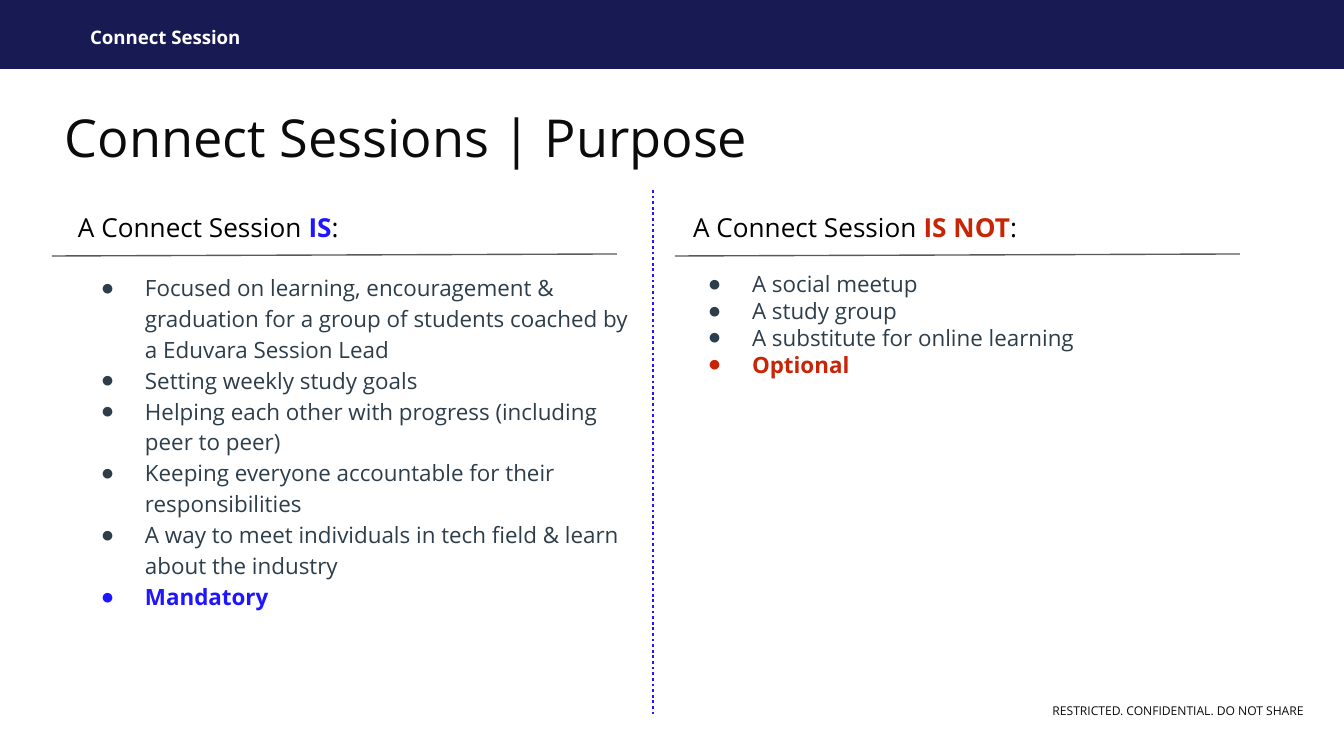
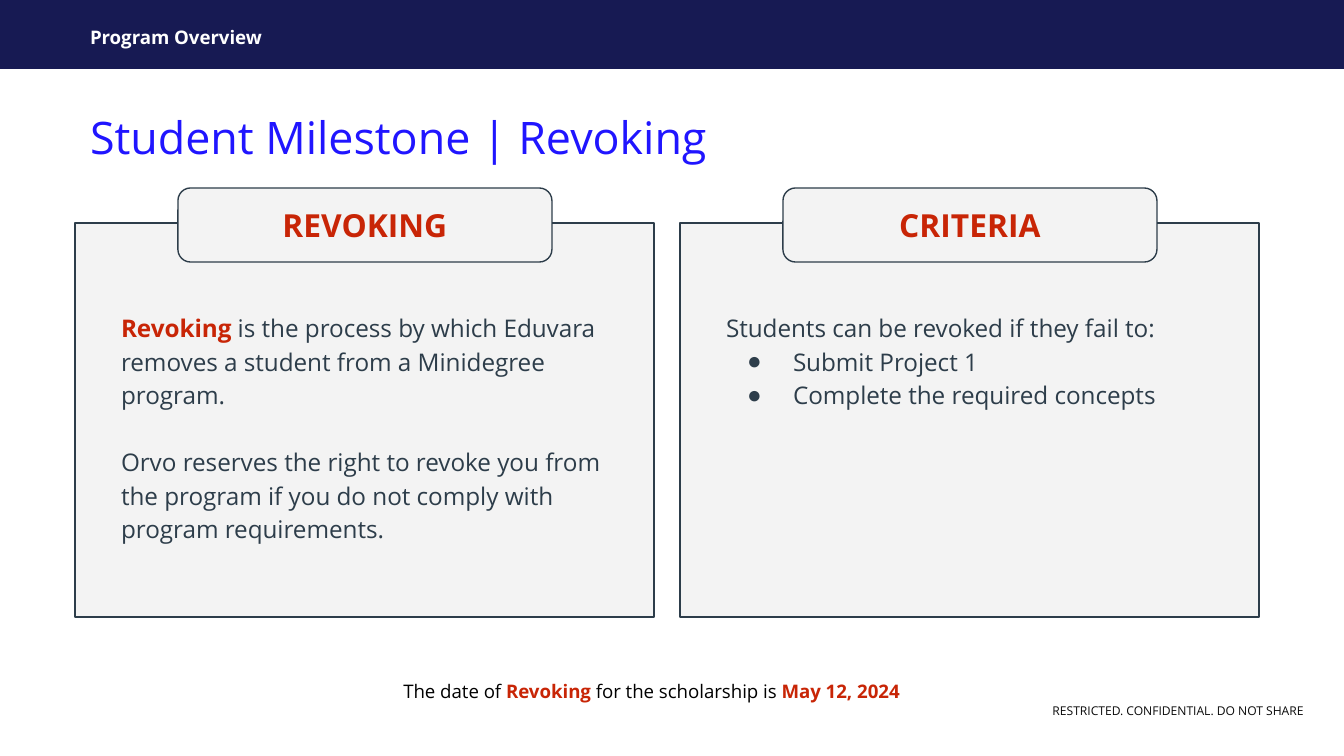
from lxml import etree
from pptx import Presentation
from pptx.dml.color import RGBColor
from pptx.enum.dml import MSO_LINE
from pptx.enum.shapes import MSO_CONNECTOR, MSO_SHAPE
from pptx.enum.text import MSO_ANCHOR, MSO_AUTO_SIZE, PP_ALIGN
from pptx.oxml.ns import qn
from pptx.util import Emu, Pt

RECT, ROUNDED = MSO_SHAPE.RECTANGLE, MSO_SHAPE.ROUNDED_RECTANGLE
STRAIGHT, DOTTED = MSO_CONNECTOR.STRAIGHT, MSO_LINE.ROUND_DOT
TOP, MIDDLE = MSO_ANCHOR.TOP, MSO_ANCHOR.MIDDLE
LEFT, CENTER, RIGHT = PP_ALIGN.LEFT, PP_ALIGN.CENTER, PP_ALIGN.RIGHT

SCALE = 914400 / 134.4
FONT = "Open Sans"
COLORS = {
    "navy": "171A53",
    "white": "FFFFFF",
    "ink": "0B0B0B",
    "black": "000000",
    "slate": "2D3D4A",
    "blue": "2015FF",
    "red": "C82506",
    "rule": "595959",
    "panel": "F3F3F3",
}
COMPARISON, TWO_CONTENT = 4, 3
INSET = 13


def px(length):
    return Emu(round(length * SCALE))


def color(name):
    return RGBColor.from_string(COLORS[name])


def place(box, left, top, width, height):
    box.left, box.top, box.width, box.height = map(px, (left, top, width, height))


def add_bullet(para, color_name, hang):
    properties = para._p.get_or_add_pPr()
    if not hang:
        properties.set("marL", "0")
        properties.set("indent", "0")
        etree.SubElement(properties, qn("a:buNone"))
        return
    properties.set("marL", str(px(67)))
    properties.set("indent", str(-px(hang)))
    tint = etree.SubElement(properties, qn("a:buClr"))
    etree.SubElement(tint, qn("a:srgbClr"), val=COLORS[color_name])
    etree.SubElement(properties, qn("a:buChar"), char="●")


def write(box, paras, size, spacing=1.0, align=LEFT, anchor=TOP,
          inset=INSET, gap=0):
    frame = box.text_frame
    frame.word_wrap = True
    frame.auto_size = MSO_AUTO_SIZE.NONE
    frame.vertical_anchor = anchor
    frame.margin_left = frame.margin_right = px(inset)
    frame.margin_top = frame.margin_bottom = px(inset)
    for index, (spans, hang) in enumerate(paras):
        para = frame.add_paragraph() if index else frame.paragraphs[0]
        add_bullet(para, spans[0][1], hang)
        para.alignment = align
        para.line_spacing = spacing
        para.space_before = Pt(gap if index else 0)
        para.space_after = Pt(0)
        for text, color_name, bold in spans:
            span = para.add_run()
            span.text = text
            span.font.name = FONT
            span.font.size = Pt(size)
            span.font.bold = bold
            span.font.color.rgb = color(color_name)


def plain(text, color_name="slate", bold=False, hang=0):
    return [(text, color_name, bold)], hang


def add_text(page, box, paras, size, **style):
    label = page.shapes.add_textbox(*map(px, box))
    write(label, paras, size, **style)
    return label


def add_block(page, kind, box, fill, line=None):
    block = page.shapes.add_shape(kind, *map(px, box))
    block.shadow.inherit = False
    block.fill.solid()
    block.fill.fore_color.rgb = color(fill)
    if line:
        block.line.color.rgb = color(line)
        block.line.width = Pt(0.75)
    else:
        block.line.fill.background()
    return block


def add_line(page, start, end, color_name, width):
    line = page.shapes.add_connector(STRAIGHT, *map(px, start + end))
    line.line.color.rgb = color(color_name)
    line.line.width = Pt(width)
    etree.SubElement(line._element.spPr, qn("a:effectLst"))
    return line


def build_master(deck, page):
    band = add_block(page, RECT, (0, 0, 1344, 69), "navy")
    footer = add_text(page, (831, 698, 473, 26),
                      [plain("RESTRICTED. CONFIDENTIAL. DO NOT SHARE", "ink")],
                      6.5, align=RIGHT, anchor=MIDDLE, inset=0)
    for part in (band, footer):
        deck.slide_master.shapes.element.append(part.element)


def build_header(page, section, title, left, size, color_name):
    heading = page.shapes.title
    place(heading, left, 84, 887, 106)
    write(heading, [plain(title, color_name)], size, anchor=MIDDLE, inset=0)
    add_text(page, (90, 19, 1169, 32), [plain(section, "white", True)], 10,
             spacing=1.15, anchor=MIDDLE, inset=0)


def build_column(page, box, slots, shifts, verdict, accent, items, closing, spacing):
    left, top, width, height = box
    heading, listing = (page.placeholders[slot] for slot in slots)
    place(heading, left + shifts[0], top, 396, 59)
    write(heading, [([("A Connect Session ", "black", False),
                      (verdict, accent, True),
                      (":", "black", False)], 0)], 14)
    place(listing, left + shifts[1], top + 59, 591, height - 59)
    paras = [plain(item, hang=44) for item in items]
    paras.append(plain(closing, accent, True, 44))
    write(listing, paras, 12, spacing=spacing)
    add_line(page, (left, top + 58), (left + width, top + 56), "rule", 0.75)


def build_panel(page, box, slot, title, paras, gap=0):
    left, top, width, height = box
    body = page.placeholders[slot]
    panel = add_block(page, RECT, box, "panel", "slate")
    body.element.addprevious(panel.element)
    place(body, left + 33, top + 73, 515, height - 73)
    write(body, paras, 13, spacing=1.15, gap=gap)
    tag = add_block(page, ROUNDED, (left + 103, top - 35, 374, 74), "panel", "slate")
    tag.adjustments[0] = 0.17
    write(tag, [plain(title, "red", True)], 17, align=CENTER, anchor=MIDDLE)


def build_purpose(page):
    build_header(page, "Connect Session", "Connect Sessions | Purpose", 65, 28, "ink")
    build_column(page, (52, 198, 565, 426), (1, 2), (13, 13), "IS", "blue", [
        "Focused on learning, encouragement & graduation for a group of "
        "students coached by a Eduvara Session Lead",
        "Setting weekly study goals",
        "Helping each other with progress (including peer to peer)",
        "Keeping everyone accountable for their responsibilities",
        "A way to meet individuals in tech field & learn about the industry",
    ], "Mandatory", 1.15)
    build_column(page, (675, 198, 565, 195), (3, 4), (5, -3), "IS NOT", "red", [
        "A social meetup",
        "A study group",
        "A substitute for online learning",
    ], "Optional", 1.0)
    divider = add_line(page, (653, 190), (653, 717), "blue", 1.5)
    divider.line.dash_style = DOTTED


def build_revoking(page):
    build_header(page, "Program Overview", "Student Milestone | Revoking", 90, 24, "blue")
    build_panel(page, (75, 223, 579, 394), 1, "REVOKING", [
        ([("Revoking", "red", True),
          (" is the process by which Eduvara removes a student from a "
           "Minidegree program.", "slate", False)], 0),
        plain("Orvo reserves the right to revoke you from the program if you "
              "do not comply with program requirements."),
    ], gap=18)
    build_panel(page, (680, 223, 579, 394), 2, "CRITERIA", [
        plain("Students can be revoked if they fail to:"),
        plain("Submit Project 1", hang=46),
        plain("Complete the required concepts", hang=46),
    ])
    notice = add_text(page, (273, 667, 797, 50), [([
        ("The date of ", "black", False),
        ("Revoking", "red", True),
        (" for the scholarship is ", "black", False),
        ("May 12, 2024", "red", True),
    ], 0)], 10, align=CENTER)
    notice.text_frame.margin_right = px(INSET + 40)


def main():
    deck = Presentation()
    deck.slide_width, deck.slide_height = px(1344), px(756)
    purpose = deck.slides.add_slide(deck.slide_layouts[COMPARISON])
    build_master(deck, purpose)
    build_purpose(purpose)
    build_revoking(deck.slides.add_slide(deck.slide_layouts[TWO_CONTENT]))
    deck.save("out.pptx")


if __name__ == "__main__":
    main()
